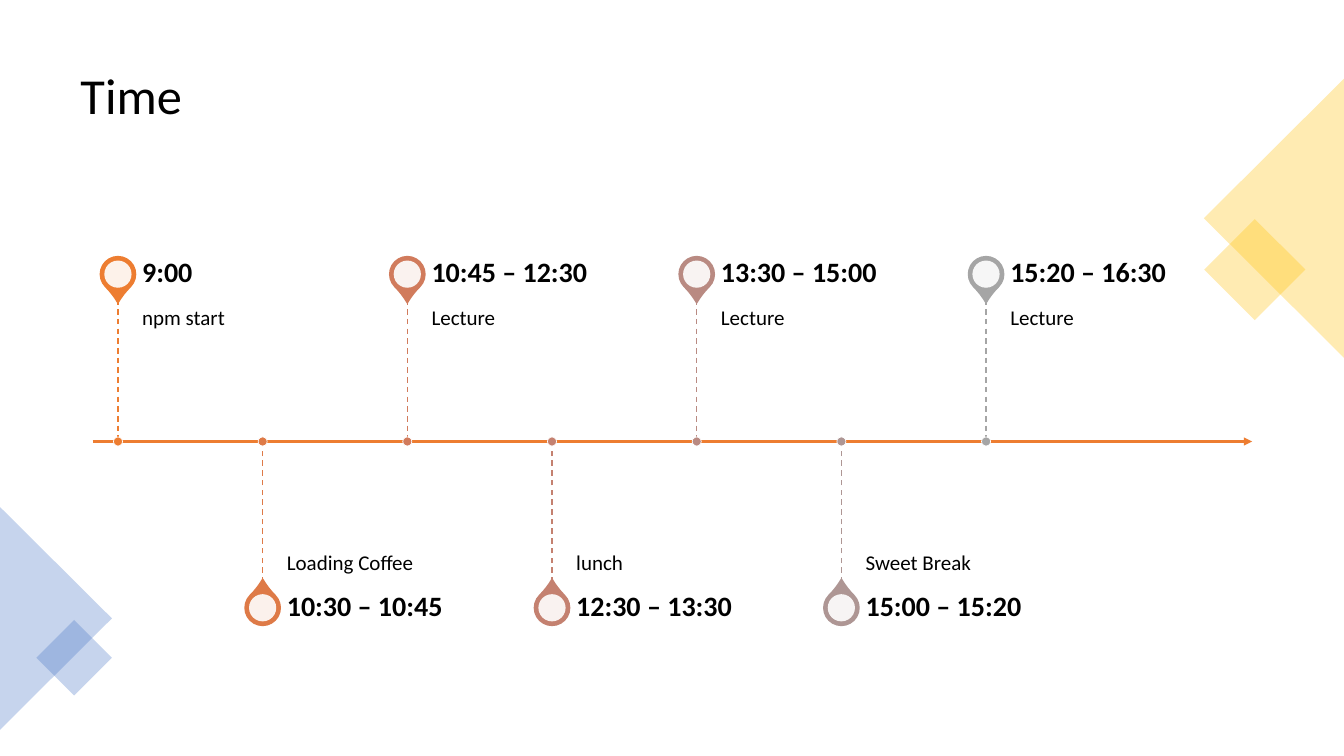
"""Build a slide with a timeline of the day's sessions and breaks."""
from lxml.etree import SubElement
from pptx import Presentation
from pptx.dml.color import RGBColor
from pptx.enum.dml import MSO_LINE
from pptx.enum.shapes import MSO_CONNECTOR, MSO_SHAPE
from pptx.enum.text import MSO_ANCHOR
from pptx.oxml.ns import qn
from pptx.util import Inches, Pt


def paint(fill, color, alpha=100):
    fill.solid()
    fill.fore_color.rgb = RGBColor.from_string(color)
    if alpha < 100:
        clr = fill._xPr.find(qn("a:solidFill"))[0]
        SubElement(clr, qn("a:alpha"), val=str(alpha * 1000))


prs = Presentation()
prs.slide_width, prs.slide_height = Inches(13.33), Inches(7.5)
s = prs.slides.add_slide(prs.slide_layouts[6])

ORANGE, YELLOW, BLUE, WHITE = "ED7D31", "FFC000", "4472C4", "FFFFFF"
AXIS_Y, FIRST_X, STEP = 4.38, 1.17, 1.435
PIN, HOLE, DOT = 0.35, 0.27, 0.09

milestones = [
    ("9:00", "npm start", ORANGE),
    ("10:30 – 10:45", "Loading Coffee", "DE7A47"),
    ("10:45 – 12:30", "Lecture", "D17B5C"),
    ("12:30 – 13:30", "lunch", "C48170"),
    ("13:30 – 15:00", "Lecture", "B98A82"),
    ("15:00 – 15:20", "Sweet Break", "AE9694"),
    ("15:20 – 16:30", "Lecture", "A5A5A5"),
]

title_format = {"size": Pt(36), "bold": False}
time_format = {"size": Pt(20), "bold": True}
label_format = {"size": Pt(15), "bold": False}

lines = [((0.92, AXIS_Y), (12.42, AXIS_Y), ORANGE, 1.5)]
shapes = [
    (MSO_SHAPE.RECTANGLE, (12.09, 2.32, 0.71, 0.71), 45, YELLOW, 30, None, 0),
    (MSO_SHAPE.ISOSCELES_TRIANGLE, (11.25, 1.47, 2.77, 1.39), 270, YELLOW, 30, None, 0),
    (MSO_SHAPE.ISOSCELES_TRIANGLE, (-0.55, 5.58, 2.21, 1.11), 90, BLUE, 30, None, 0),
    (MSO_SHAPE.RECTANGLE, (0.47, 6.26, 0.53, 0.53), 45, BLUE, 30, None, 0),
]
texts = [("Time", (0.7, 0.35, 11.93, 1.24), MSO_ANCHOR.MIDDLE,
          (0.1, 0.05, 0.1, 0.05), title_format)]

for i, (time, label, color) in enumerate(milestones):
    x = FIRST_X + i * STEP
    left = x + 0.24
    if i % 2 == 0:
        pin_y, stem_y, time_y, label_y, turn = 2.72, 2.97, 2.47, 2.97, 135
        anchor, insets = MSO_ANCHOR.TOP, (0, 0.1, 0.1, 0.16)
    else:
        pin_y, stem_y, time_y, label_y, turn = 6.03, 5.78, 5.78, AXIS_Y, 315
        anchor, insets = MSO_ANCHOR.BOTTOM, (0, 0.16, 0, 0.1)
    lines.append(((x, stem_y), (x, AXIS_Y), color, 1))
    for kind, y, size, rot, fill, alpha, outline, width in (
        (MSO_SHAPE.TEAR, pin_y, PIN, turn, color, 100, color, 1),
        (MSO_SHAPE.OVAL, pin_y, HOLE, 0, WHITE, 90, None, 0),
        (MSO_SHAPE.OVAL, AXIS_Y, DOT, 0, color, 100, WHITE, 0.5),
    ):
        box = (x - size / 2, y - size / 2, size, size)
        shapes.append((kind, box, rot, fill, alpha, outline, width))
    texts.append((label, (left, label_y, 2.39, 1.41), anchor, insets, label_format))
    texts.append((time, (left, time_y, 2.39, 0.49), MSO_ANCHOR.MIDDLE,
                  (0, 0, 0.14, 0), time_format))

for start, end, color, width in lines:
    line = s.shapes.add_connector(MSO_CONNECTOR.STRAIGHT, *map(Inches, start + end))
    paint(line.line.fill, color)
    line.line.width = Pt(width)
    if start[1] == end[1]:
        SubElement(line.line._get_or_add_ln(), qn("a:tailEnd"), type="triangle")
    else:
        line.line.dash_style = MSO_LINE.DASH
    SubElement(line._element.spPr, qn("a:effectLst"))

for kind, box, rot, color, alpha, outline, width in shapes:
    sp = s.shapes.add_shape(kind, *map(Inches, box))
    sp.shadow.inherit = False
    sp.rotation = rot
    paint(sp.fill, color, alpha)
    if kind == MSO_SHAPE.TEAR:
        sp.adjustments[0] = 1.15
    if outline:
        paint(sp.line.fill, outline)
        sp.line.width = Pt(width)
    else:
        sp.line.fill.background()

for text, box, anchor, insets, text_format in texts:
    tf = s.shapes.add_textbox(*map(Inches, box)).text_frame
    tf.word_wrap = True
    tf.vertical_anchor = anchor
    tf.margin_left, tf.margin_top, tf.margin_right, tf.margin_bottom = map(Inches, insets)
    p = tf.paragraphs[0]
    p.line_spacing = 0.9
    r = p.add_run()
    r.text = text
    r.font.name = "Calibri"
    paint(r.font.fill, "000000")
    for name, value in text_format.items():
        setattr(r.font, name, value)

prs.save("out.pptx")
